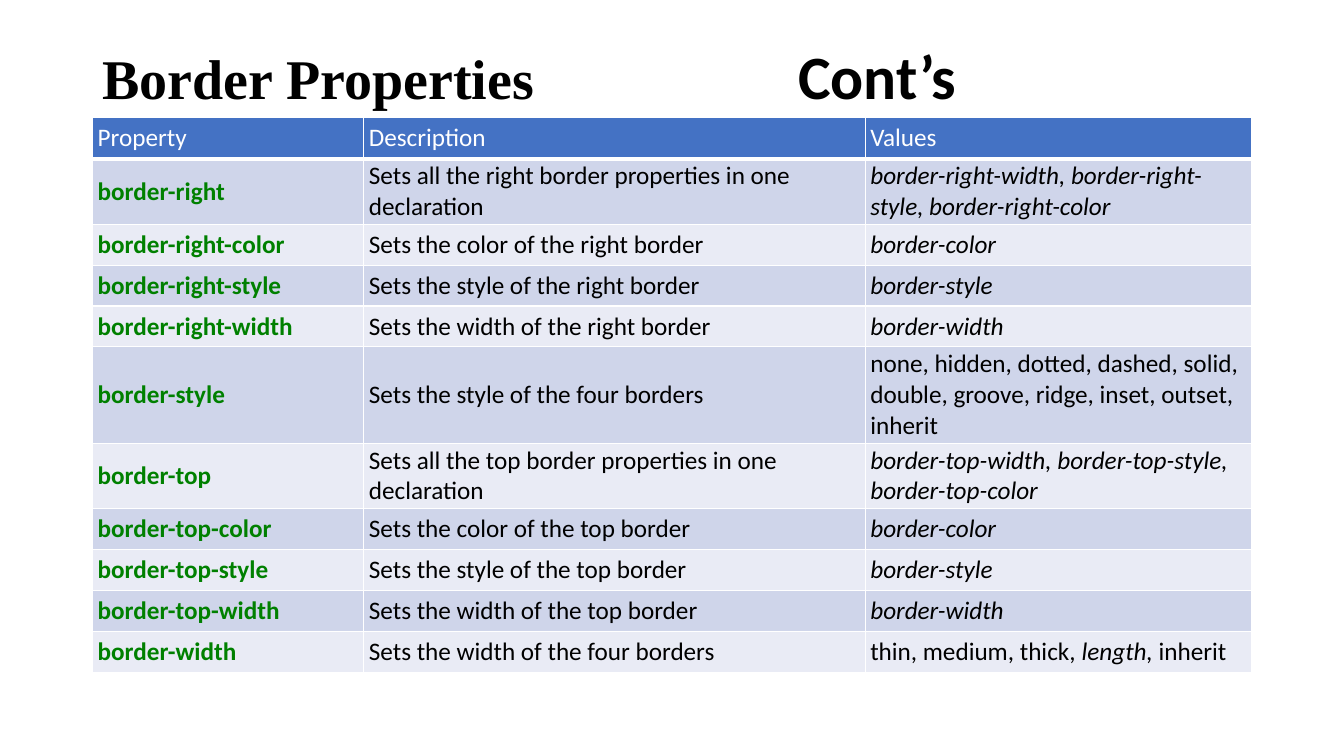
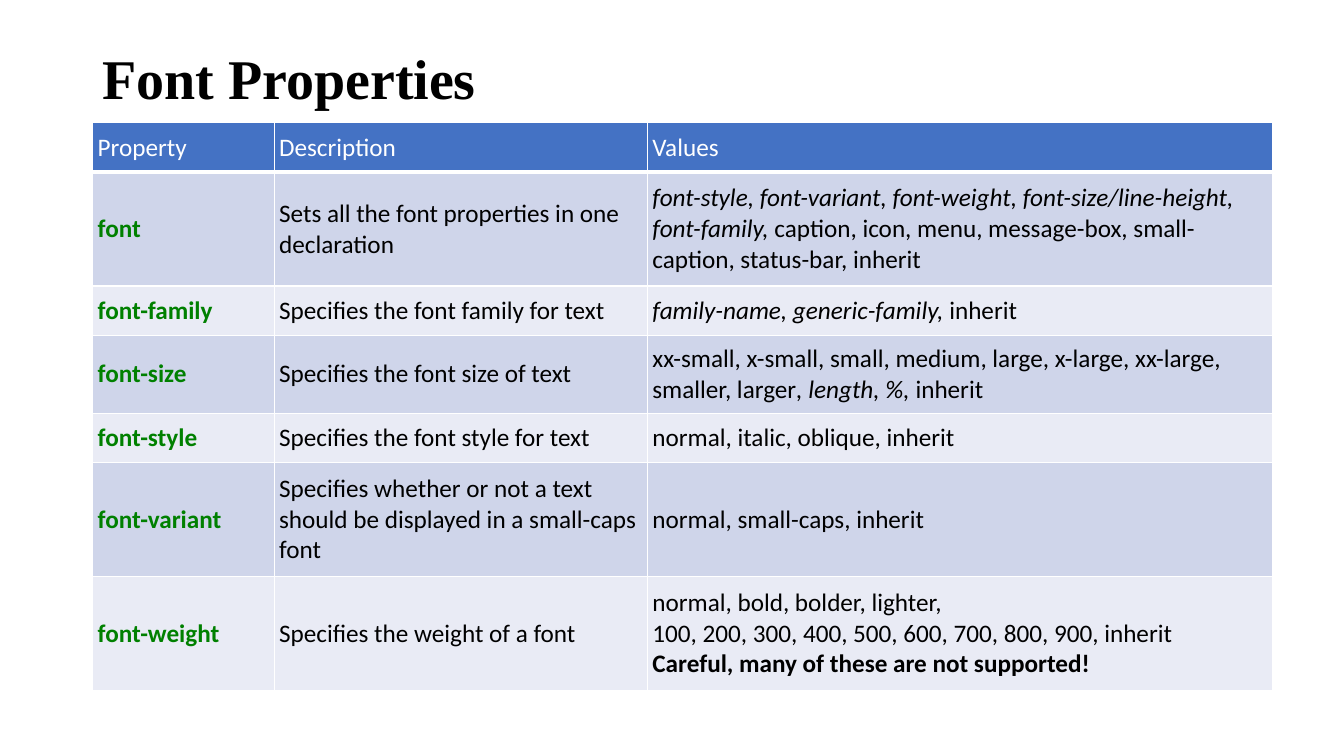
from dataclasses import dataclass

import lxml.etree
import pptx
import pptx.dml.color
import pptx.enum.text
import pptx.oxml.ns
import pptx.util

Pt = pptx.util.Pt
MIDDLE = pptx.enum.text.MSO_ANCHOR.MIDDLE


def rgb(value: str) -> pptx.dml.color.RGBColor:
    return pptx.dml.color.RGBColor.from_string(value)


@dataclass(frozen=True)
class Theme:
    black: str = "000000"
    white: str = "FFFFFF"
    property_green: str = "008000"
    header_fill: str = "4472C4"
    band_fills: tuple[str, str] = ("CFD5EA", "E9EBF5")
    body_font: str = "Calibri"
    title_font: str = "Times New Roman"
    title_size: float = 40
    suffix_size: float = 44
    body_size: float = 18
    border_width: float = 1
    header_border_width: float = 3


THEME = Theme()
SLIDE_WIDTH, SLIDE_HEIGHT = 960, 540
LEFT, TITLE_TOP, TITLE_WIDTH = 66.2, 28.8, 828
SUFFIX_TAB = 497
CELL_MARGIN_X, CELL_MARGIN_Y = 3.6, 1.44
HEADINGS = ("Property", "Description", "Values")


@dataclass(frozen=True)
class TextRun:
    text: str
    color: str = THEME.black
    size: float = THEME.body_size
    font: str = THEME.body_font
    bold: bool = False
    italic: bool = False


@dataclass(frozen=True)
class PropertyRow:
    name: str
    description: str
    values: tuple[TextRun, ...]
    lines: int = 1


@dataclass(frozen=True)
class PropertySlide:
    title: str
    suffix: str
    title_height: float
    column_widths: tuple[float, ...]
    height_by_lines: dict[int, float]
    rows: tuple[PropertyRow, ...]


def plain(text: str) -> TextRun:
    return TextRun(text)


def italic(text: str) -> TextRun:
    return TextRun(text, italic=True)


def bold(text: str, color: str = THEME.black) -> TextRun:
    return TextRun(text, color, bold=True)


BORDER_SLIDE = PropertySlide(
    "Border Properties", "Cont’s", 55.4, (193.7, 358.2, 275.8),
    {1: 29.2, 2: 46.8, 3: 68.8},
    (
        PropertyRow("border-right", "Sets all the right border properties in one declaration",
                    (italic("border-right-width, border-right-style, border-right-color"),), 2),
        PropertyRow("border-right-color", "Sets the color of the right border",
                    (italic("border-color"),)),
        PropertyRow("border-right-style", "Sets the style of the right border",
                    (italic("border-style"),)),
        PropertyRow("border-right-width", "Sets the width of the right border",
                    (italic("border-width"),)),
        PropertyRow("border-style", "Sets the style of the four borders",
                    (plain("none, hidden, dotted, dashed, solid, double, groove, ridge, "
                           "inset, outset, inherit"),), 3),
        PropertyRow("border-top", "Sets all the top border properties in one declaration",
                    (italic("border-top-width, border-top-style, border-top-color"),), 2),
        PropertyRow("border-top-color", "Sets the color of the top border",
                    (italic("border-color"),)),
        PropertyRow("border-top-style", "Sets the style of the top border",
                    (italic("border-style"),)),
        PropertyRow("border-top-width", "Sets the width of the top border",
                    (italic("border-width"),)),
        PropertyRow("border-width", "Sets the width of the four borders",
                    (plain("thin, medium, thick, "), italic("length, "), plain("inherit"))),
    ),
)

FONT_SLIDE = PropertySlide(
    "Font Properties", "", 59, (129.6, 266.6, 446.4),
    {1: 35.2, 2: 55.7, 3: 81.4},
    (
        PropertyRow("font", "Sets all the font properties in one declaration",
                    (italic("font-style, font-variant, font-weight, font-size/line-height, "
                            "font-family, "),
                     plain("caption, icon, menu, message-box, small-caption, status-bar, "
                           "inherit")), 3),
        PropertyRow("font-family", "Specifies the font family for text",
                    (italic("family-name, generic-family, "), plain("inherit"))),
        PropertyRow("font-size", "Specifies the font size of text",
                    (plain("xx-small, x-small, small, medium, large, x-large, xx-large, "
                           "smaller, larger"), italic(", length, %, "), plain("inherit")), 2),
        PropertyRow("font-style", "Specifies the font style for text",
                    (plain("normal, italic, oblique, inherit"),)),
        PropertyRow("font-variant",
                    "Specifies whether or not a text should be displayed in a small-caps font",
                    (plain("normal, small-caps, inherit"),), 3),
        PropertyRow("font-weight", "Specifies the weight of a font",
                    (plain("normal, bold, bolder, lighter,\n"
                           "100, 200, 300, 400, 500, 600, 700, 800, 900, inherit\n"),
                     bold("Careful, many of these are not supported!")), 3),
    ),
)


def add_run(paragraph, text_run: TextRun) -> None:
    """Add styled text, turning each newline into a line break."""
    for index, line in enumerate(text_run.text.split("\n")):
        if index:
            paragraph.add_line_break()
        if not line:
            continue
        run = paragraph.add_run()
        run.text = line
        run.font.name = text_run.font
        run.font.size = Pt(text_run.size)
        run.font.bold = text_run.bold
        run.font.italic = text_run.italic
        run.font.color.rgb = rgb(text_run.color)


def add_child(parent, tag: str, **attributes: str):
    return lxml.etree.SubElement(parent, pptx.oxml.ns.qn(tag), attributes)


def add_title(slide, content: PropertySlide) -> None:
    text_box = slide.shapes.add_textbox(
        Pt(LEFT), Pt(TITLE_TOP), Pt(TITLE_WIDTH), Pt(content.title_height))
    frame = text_box.text_frame
    frame.word_wrap = True
    frame.vertical_anchor = MIDDLE
    paragraph = frame.paragraphs[0]
    paragraph.line_spacing = 0.9
    add_run(paragraph, TextRun(content.title, size=THEME.title_size,
                               font=THEME.title_font, bold=True))
    if content.suffix:
        tabs = add_child(paragraph._p.get_or_add_pPr(), "a:tabLst")
        add_child(tabs, "a:tab", pos=str(Pt(SUFFIX_TAB)), algn="l")
        add_run(paragraph, TextRun("\t" + content.suffix, size=THEME.suffix_size, bold=True))


def set_borders(cell, top: float, bottom: float) -> None:
    properties = cell._tc.get_or_add_tcPr()
    widths = {"L": THEME.border_width, "R": THEME.border_width, "T": top, "B": bottom}
    for index, (side, width) in enumerate(widths.items()):
        line = lxml.etree.Element(pptx.oxml.ns.qn(f"a:ln{side}"), {"w": str(Pt(width))})
        add_child(add_child(line, "a:solidFill"), "a:srgbClr", val=THEME.white)
        properties.insert(index, line)


def fill_cell(cell, text_runs: tuple[TextRun, ...], fill: str, top: float, bottom: float) -> None:
    cell.fill.solid()
    cell.fill.fore_color.rgb = rgb(fill)
    cell.vertical_anchor = MIDDLE
    cell.margin_left = cell.margin_right = Pt(CELL_MARGIN_X)
    cell.margin_top = cell.margin_bottom = Pt(CELL_MARGIN_Y)
    set_borders(cell, top, bottom)
    for text_run in text_runs:
        add_run(cell.text_frame.paragraphs[0], text_run)


def add_property_table(slide, content: PropertySlide) -> None:
    heights = [content.height_by_lines[lines]
               for lines in (1, *(row.lines for row in content.rows))]
    table = slide.shapes.add_table(
        len(heights), len(HEADINGS), Pt(LEFT), Pt(TITLE_TOP + content.title_height),
        Pt(sum(content.column_widths)), Pt(sum(heights))).table
    table.horz_banding = False
    for column, width in zip(table.columns, content.column_widths):
        column.width = Pt(width)
    for table_row, height in zip(table.rows, heights):
        table_row.height = Pt(height)

    thin, thick = THEME.border_width, THEME.header_border_width
    for column_index, heading in enumerate(HEADINGS):
        fill_cell(table.cell(0, column_index), (TextRun(heading, THEME.white),),
                  THEME.header_fill, thin, thick)
    for row_index, row in enumerate(content.rows):
        fill = THEME.band_fills[row_index % 2]
        top = thin if row_index else thick
        columns = ((bold(row.name, THEME.property_green),), (plain(row.description),), row.values)
        for column_index, text_runs in enumerate(columns):
            fill_cell(table.cell(row_index + 1, column_index), text_runs, fill, top, thin)


def main() -> None:
    presentation = pptx.Presentation()
    presentation.slide_width = Pt(SLIDE_WIDTH)
    presentation.slide_height = Pt(SLIDE_HEIGHT)
    blank_layout = presentation.slide_layouts[6]
    for content in (BORDER_SLIDE, FONT_SLIDE):
        slide = presentation.slides.add_slide(blank_layout)
        add_title(slide, content)
        add_property_table(slide, content)
    presentation.save("out.pptx")


if __name__ == "__main__":
    main()
